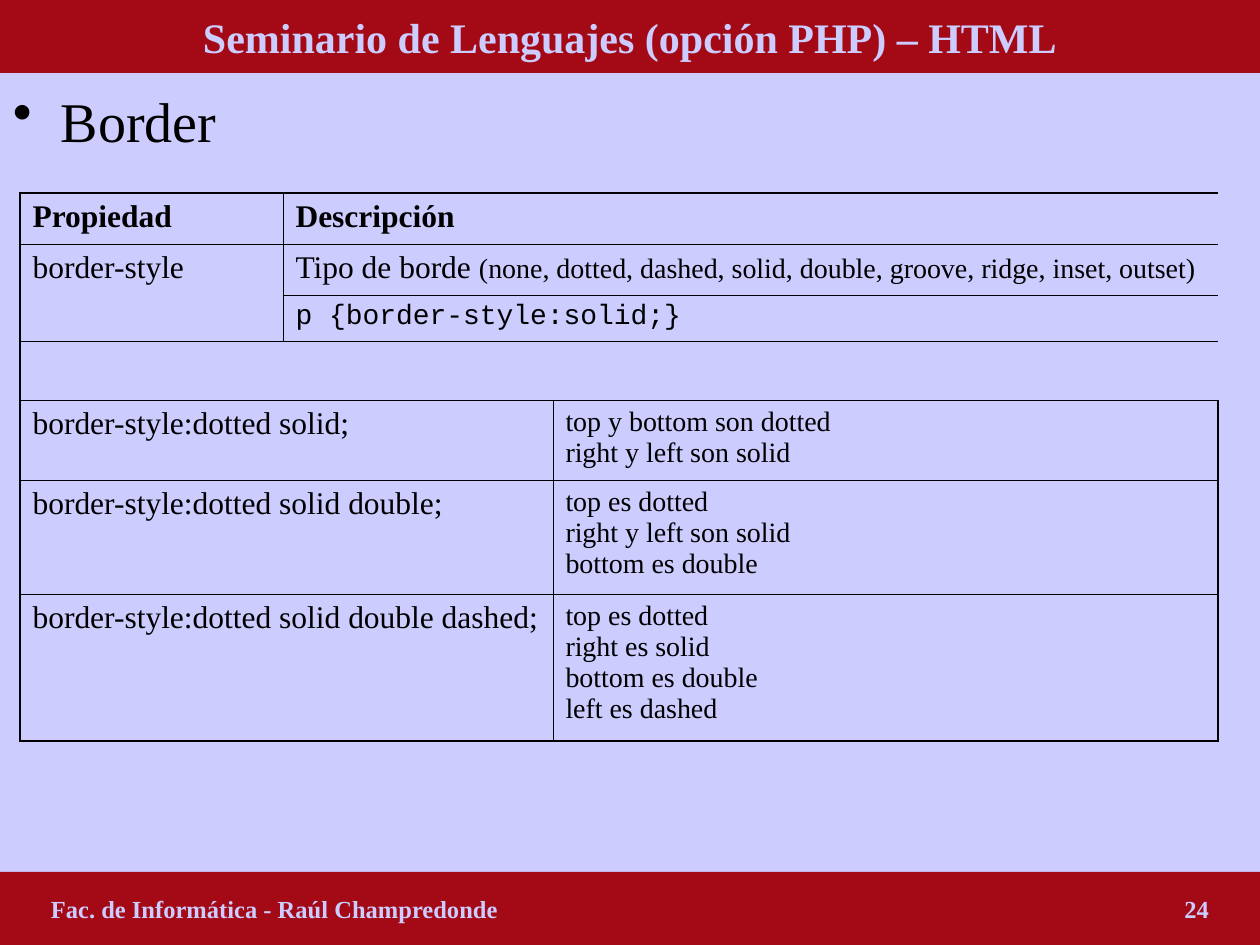
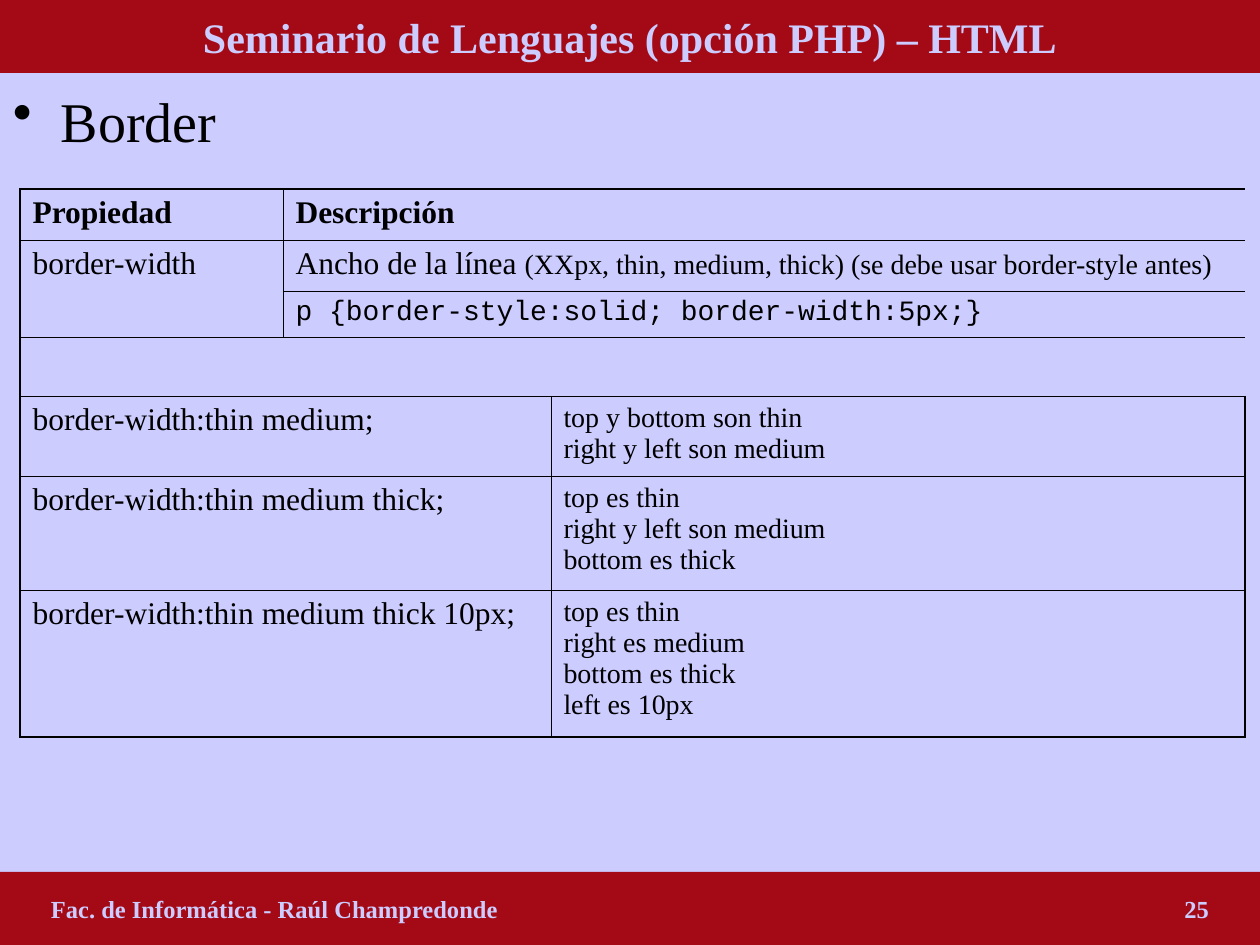
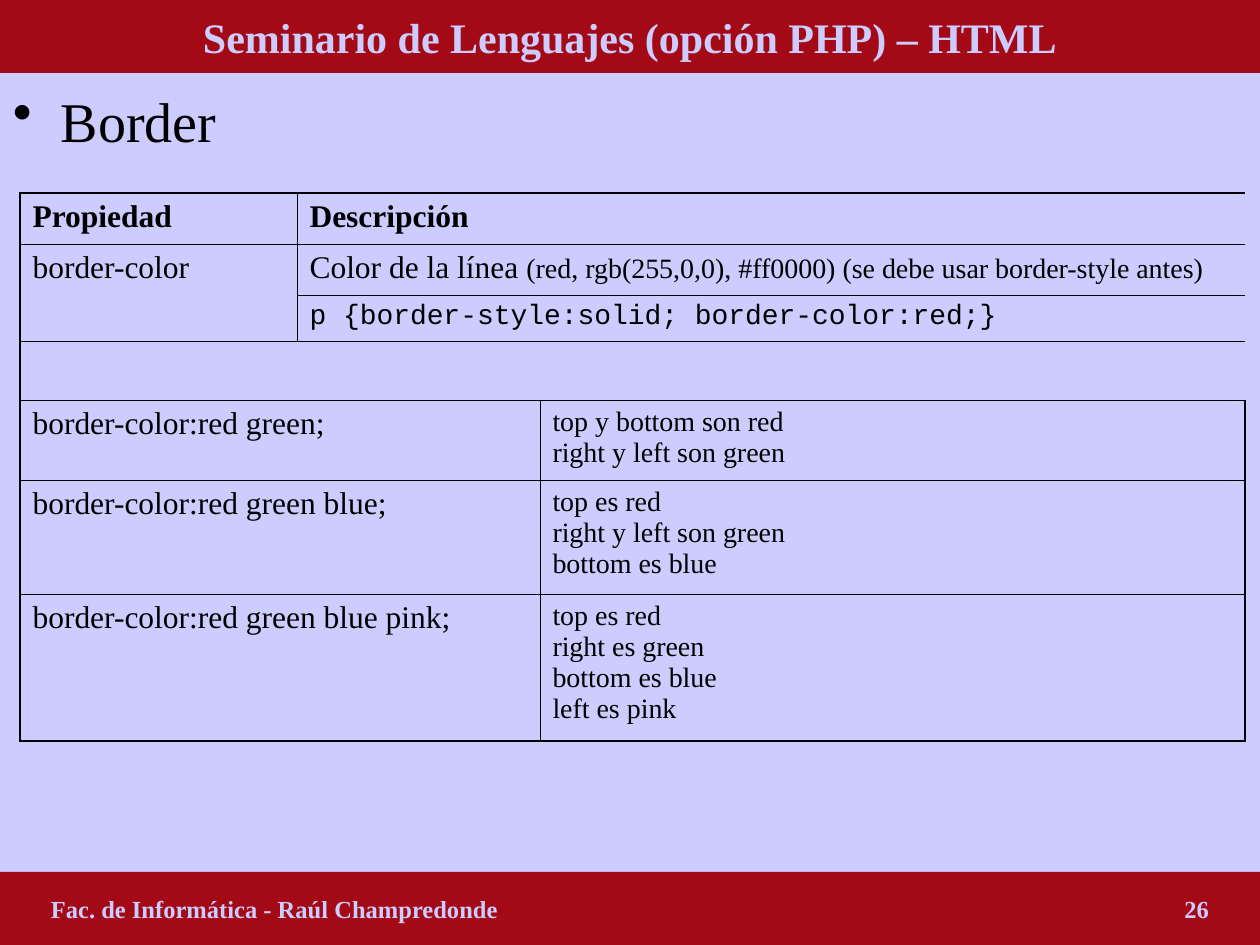
from copy import deepcopy
from dataclasses import dataclass

from lxml import etree
from pptx import Presentation
from pptx import util as u
from pptx.dml.color import RGBColor
from pptx.enum import shapes, text
from pptx.oxml.ns import qn


@dataclass(frozen=True)
class Theme:
    background: str = "CCCCFF"
    band: str = "A30A16"
    ink: str = "000000"
    serif: str = "Times New Roman"
    mono: str = "Courier New"
    topic_size: int = 32
    title_size: int = 24
    cell_size: int = 18
    detail_size: int = 16
    footer_size: int = 14
    outer_line: float = 1.08
    inner_line: float = 0.45


THEME = Theme()
SLIDE_W, SLIDE_H = 1260, 945
BAND_H = 73
INSET_X, INSET_Y = 13, 6
COURSE = "Seminario de Lenguajes (opción PHP) – HTML"
AUTHOR = "Fac. de Informática - Raúl Champredonde"

ROW_HEIGHTS = [51, 51, 46, 59, 80, 114, 147]
# Blocks of the table grid: row, column, rows spanned, columns spanned
HEADINGS = [(0, 0, 1, 1), (0, 1, 1, 2)]
PROPERTY, DESCRIPTION, CODE = (1, 0, 2, 1), (1, 1, 1, 2), (2, 1, 1, 2)
GAP = (3, 0, 1, 3)
FIRST_EXAMPLE = 4

SLIDES = [
    dict(
        number=24, table_at=(20, 193), columns=[263, 270, 665],
        name="border-style", description="Tipo de borde ",
        values="(none, dotted, dashed, solid, double, groove, ridge, inset, outset)",
        code="p {border-style:solid;}",
        examples=[
            ("border-style:dotted solid;",
             "top y bottom son dotted\nright y left son solid"),
            ("border-style:dotted solid double;",
             "top es dotted\nright y left son solid\nbottom es double"),
            ("border-style:dotted solid double dashed;",
             "top es dotted\nright es solid\nbottom es double\nleft es dashed"),
        ],
    ),
    dict(
        number=25, table_at=(20, 189), columns=[263, 268, 694],
        name="border-width", description="Ancho de la línea ",
        values="(XXpx, thin, medium, thick) (se debe usar border-style antes)",
        code="p {border-style:solid; border-width:5px;}",
        examples=[
            ("border-width:thin medium;",
             "top y bottom son thin\nright y left son medium"),
            ("border-width:thin medium thick;",
             "top es thin\nright y left son medium\nbottom es thick"),
            ("border-width:thin medium thick 10px;",
             "top es thin\nright es medium\nbottom es thick\nleft es 10px"),
        ],
    ),
    dict(
        number=26, table_at=(20, 193), columns=[277, 243, 705],
        name="border-color", description="Color de la línea ",
        values="(red, rgb(255,0,0), #ff0000) (se debe usar border-style antes)",
        code="p {border-style:solid; border-color:red;}",
        examples=[
            ("border-color:red green;",
             "top y bottom son red\nright y left son green"),
            ("border-color:red green blue;",
             "top es red\nright y left son green\nbottom es blue"),
            ("border-color:red green blue pink;",
             "top es red\nright es green\nbottom es blue\nleft es pink"),
        ],
    ),
]


def px(length):
    return u.Emu(round(length * 914400 / 126))


def style_run(run, size, color=THEME.ink, bold=False, face=THEME.serif):
    run.font.name = face
    run.font.size = u.Pt(size)
    run.font.bold = bold
    run.font.color.rgb = RGBColor.from_string(color)


def write(paragraph, content, size, **style):
    paragraph.text = content
    for run in paragraph.runs:
        style_run(run, size, **style)
    # Line breaks take the type size of the lines around them
    for line_break in paragraph._p.findall(qn("a:br")):
        line_break.insert(0, deepcopy(paragraph.runs[0]._r.rPr))


def set_insets(frame, left=INSET_X, top=INSET_Y):
    frame.word_wrap = True
    frame.margin_left, frame.margin_right = px(left), px(INSET_X)
    frame.margin_top, frame.margin_bottom = px(top), px(INSET_Y)


# Bands at the top and bottom of every slide
def add_band(slide, box, content, size, align, left=INSET_X):
    band = slide.shapes.add_shape(shapes.MSO_SHAPE.RECTANGLE, *map(px, box))
    band.shadow.inherit = False
    band.fill.solid()
    band.fill.fore_color.rgb = RGBColor.from_string(THEME.band)
    band.line.fill.background()
    frame = band.text_frame
    set_insets(frame, left)
    frame.vertical_anchor = text.MSO_ANCHOR.MIDDLE
    paragraph = frame.paragraphs[0]
    paragraph.alignment = align
    write(paragraph, content, size, color=THEME.background, bold=True)
    return paragraph


def add_footer(slide, box, number):
    side = 51
    line = add_band(slide, box, f"{AUTHOR}\t{number}", THEME.footer_size,
                    text.PP_ALIGN.LEFT, left=side)
    tabs = etree.SubElement(line._p.get_or_add_pPr(), qn("a:tabLst"))
    etree.SubElement(tabs, qn("a:tab"), pos=str(px(box[2] - 2 * side)), algn="r")


# Bulleted topic
def add_topic(slide, box, content):
    frame = slide.shapes.add_textbox(*map(px, box)).text_frame
    set_insets(frame, top=13)
    topic = frame.paragraphs[0]
    properties = topic._p.get_or_add_pPr()
    properties.set("marL", str(px(48)))
    properties.set("indent", str(px(-48)))
    bullet_color = etree.SubElement(properties, qn("a:buClr"))
    etree.SubElement(bullet_color, qn("a:srgbClr"), val=THEME.ink)
    etree.SubElement(properties, qn("a:buChar"), char="•")
    write(topic, content, THEME.topic_size)


# Property table
def set_border(cell, side, width):
    properties = cell._tc.get_or_add_tcPr()
    line = etree.SubElement(properties, qn(f"a:ln{side}"), w=str(u.Pt(width)))
    if width:
        fill = etree.SubElement(line, qn("a:solidFill"))
        etree.SubElement(fill, qn("a:srgbClr"), val=THEME.ink)
    else:
        etree.SubElement(line, qn("a:noFill"))


def frame_block(table, block):
    """Line the edges of a block of cells, heavier along the table's outline."""
    top, left, rows, columns = block
    bottom, right = top + rows - 1, left + columns - 1
    last_row, last_column = len(table.rows) - 1, len(table.columns) - 1
    for row in range(top, bottom + 1):
        for column in range(left, right + 1):
            cell = table.cell(row, column)
            edges = [("L", column == left, column == 0),
                     ("R", column == right, column == last_column),
                     ("T", row == top, row == 0),
                     ("B", row == bottom, row == last_row)]
            for side, on_edge, on_outline in edges:
                weight = THEME.outer_line if on_outline else THEME.inner_line
                set_border(cell, side, weight if on_edge else 0)
            cell.fill.background()
    if rows * columns > 1:
        table.cell(top, left).merge(table.cell(bottom, right))


def add_property_table(slide, origin, columns, name, description, values, code,
                       examples):
    size = sum(columns), sum(ROW_HEIGHTS)
    table = slide.shapes.add_table(len(ROW_HEIGHTS), len(columns),
                                   *map(px, origin + size)).table
    table.first_row = table.horz_banding = False
    for column, width in zip(table.columns, columns):
        column.width = px(width)
    for row, height in zip(table.rows, ROW_HEIGHTS):
        row.height = px(height)

    def fill_block(block, content, size=THEME.cell_size, **style):
        frame_block(table, block)
        paragraph = table.cell(*block[:2]).text_frame.paragraphs[0]
        write(paragraph, content, size, **style)
        return paragraph

    for block, heading in zip(HEADINGS, ["Propiedad", "Descripción"]):
        fill_block(block, heading, bold=True)
    fill_block(PROPERTY, name)
    accepted = fill_block(DESCRIPTION, description).add_run()
    accepted.text = values
    style_run(accepted, THEME.detail_size)
    fill_block(CODE, code, THEME.detail_size, face=THEME.mono)
    frame_block(table, GAP)
    for row, (rule, effect) in enumerate(examples, FIRST_EXAMPLE):
        fill_block((row, 0, 1, 2), rule)
        fill_block((row, 2, 1, 1), effect, THEME.detail_size)


def add_property_slide(prs, number, table_at, **content):
    slide = prs.slides.add_slide(prs.slide_layouts[6])
    slide.background.fill.solid()
    slide.background.fill.fore_color.rgb = RGBColor.from_string(THEME.background)
    add_topic(slide, (0, BAND_H, SLIDE_W, SLIDE_H - 2 * BAND_H), "Border")
    add_band(slide, (0, 0, SLIDE_W, BAND_H), COURSE, THEME.title_size,
             text.PP_ALIGN.CENTER)
    add_footer(slide, (0, SLIDE_H - BAND_H, SLIDE_W, BAND_H), number)
    add_property_table(slide, table_at, **content)


def main():
    prs = Presentation()
    prs.slide_width, prs.slide_height = px(SLIDE_W), px(SLIDE_H)
    for content in SLIDES:
        add_property_slide(prs, **content)
    prs.save("out.pptx")


if __name__ == "__main__":
    main()
